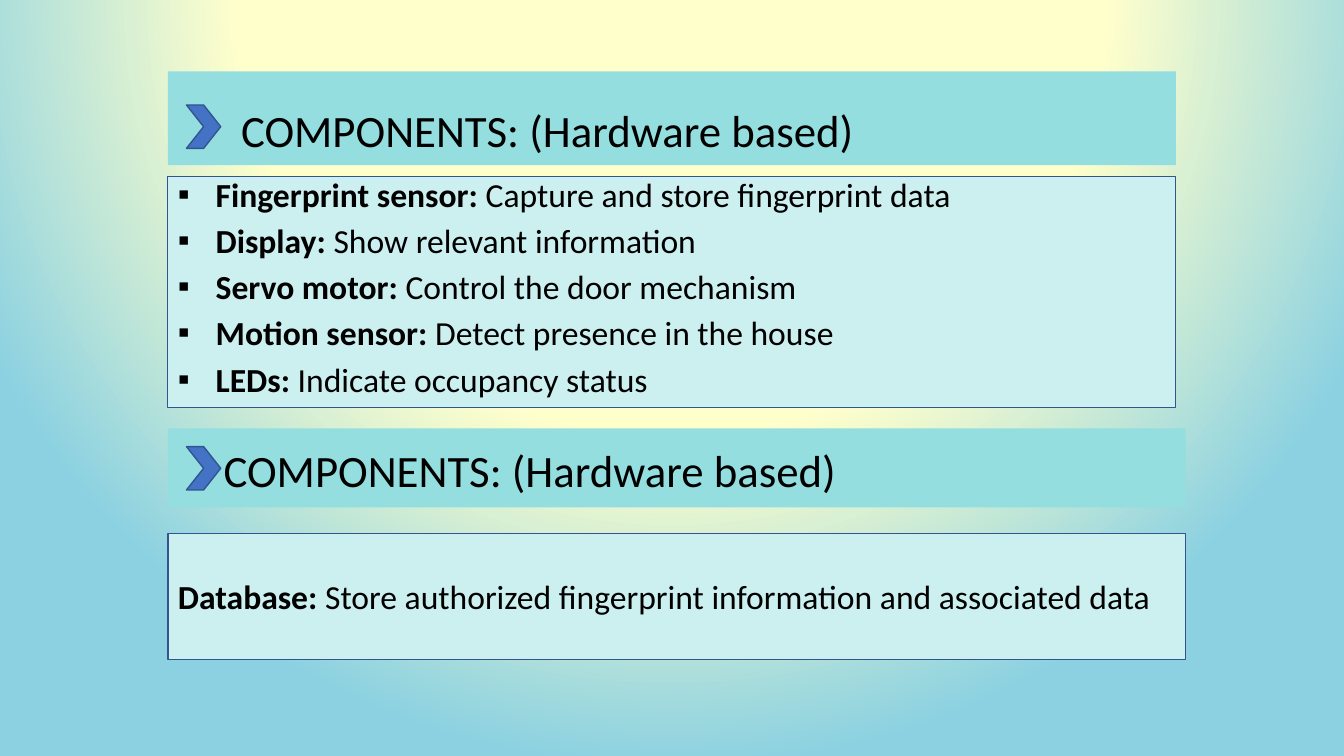
from pptx import Presentation
from pptx.dml.color import RGBColor
from pptx.enum.shapes import MSO_SHAPE as Preset
from pptx.enum.text import MSO_ANCHOR as Anchor, PP_ALIGN as Align
from pptx.oxml import parse_xml
from pptx.oxml.ns import nsdecls, qn
from pptx.util import Pt

COLORS = {
    "cream": "FFFFCC",
    "sky": "8BD1E1",
    "heading": "94DEE0",
    "panel": "CCEFF0",
    "outline": "325491",
    "chevron": "4472C4",
    "text": "000000",
}
LEFT = 120
HARDWARE = [
    ("Fingerprint sensor:", " Capture and store fingerprint data"),
    ("Display:", " Show relevant information"),
    ("Servo motor:", " Control the door mechanism"),
    ("Motion sensor:", " Detect presence in the house"),
    ("LEDs:", " Indicate occupancy status"),
]
DATABASE = [("Database:", " Store authorized fingerprint information and associated data")]


class SlideBuilder:
    """Hold the style and the current slide, and add each kind of element."""

    font = "Calibri"
    heading_size = 32
    body_size = 24
    bullet_indent = 27

    def __init__(self, slide):
        self.slide = slide

    def color(self, name):
        return RGBColor.from_string(COLORS[name])

    def background(self):
        self.slide.background.fill.solid()
        properties = self.slide.element.find(".//" + qn("p:bgPr"))
        stops = "".join(
            f'<a:gs pos="{position}"><a:srgbClr val="{COLORS[name]}"/></a:gs>'
            for position, name in ((0, "cream"), (56000, "cream"), (100000, "sky"))
        )
        gradient = parse_xml(
            f'<a:gradFill {nsdecls("a")} rotWithShape="1"><a:gsLst>{stops}</a:gsLst>'
            '<a:path path="circle"><a:fillToRect l="50000" t="-80000" r="50000" b="180000"/>'
            "</a:path></a:gradFill>"
        )
        properties.replace(properties[0], gradient)

    def shape(self, preset, box, fill, line_width=0):
        shape = self.slide.shapes.add_shape(preset, *map(Pt, box))
        shape.shadow.inherit = False
        shape.fill.solid()
        shape.fill.fore_color.rgb = self.color(fill)
        if line_width:
            shape.line.color.rgb = self.color("outline")
            shape.line.width = Pt(line_width)
        else:
            shape.line.fill.background()
        return shape

    def format_frame(self, shape, **values):
        frame = shape.text_frame
        for name, value in {"word_wrap": True, **values}.items():
            setattr(frame, name, value)
        return frame

    def text(self, paragraph, words, size, bold=False):
        run = paragraph.add_run()
        run.text = words
        values = {"name": self.font, "size": Pt(size), "bold": bold}
        for name, value in values.items():
            setattr(run.font, name, value)
        run.font.color.rgb = self.color("text")

    def heading(self, words, box, indent, spacing=1, **frame_format):
        shape = self.shape(Preset.RECTANGLE, box, "heading")
        frame = self.format_frame(shape, margin_left=Pt(7.2 + indent), **frame_format)
        paragraph = frame.paragraphs[0]
        paragraph.alignment = Align.LEFT
        paragraph.line_spacing = spacing
        self.text(paragraph, words, self.heading_size)

    def panel(self, items, box, anchor, line_width, bulleted=False):
        shape = self.shape(Preset.RECTANGLE, box, "panel", line_width)
        frame = self.format_frame(shape, vertical_anchor=anchor)
        for index, (label, detail) in enumerate(items):
            paragraph = frame.add_paragraph() if index else frame.paragraphs[0]
            paragraph.alignment = Align.LEFT
            if bulleted:
                self.bullet(paragraph)
            self.text(paragraph, label, self.body_size, bold=True)
            self.text(paragraph, detail, self.body_size)

    def bullet(self, paragraph):
        paragraph.line_spacing = 0.8
        paragraph.space_before = Pt(10)
        properties = paragraph._p.get_or_add_pPr()
        properties.set("marL", str(Pt(self.bullet_indent)))
        properties.set("indent", str(-Pt(self.bullet_indent)))
        for tag in ('buFont typeface="Arial"', 'buChar char="▪"'):
            properties.append(parse_xml(f'<a:{tag} {nsdecls("a")}/>'))

    def chevron(self, top):
        self.shape(Preset.CHEVRON, (133.2, top, 24.5, 31), "chevron", 1)


def main():
    presentation = Presentation()
    presentation.slide_width, presentation.slide_height = Pt(960), Pt(540)
    builder = SlideBuilder(presentation.slides.add_slide(presentation.slide_layouts[6]))
    title = "COMPONENTS: (Hardware based)"

    builder.background()
    builder.heading(title, (LEFT, 51, 720, 67), 45, 0.9,
                    vertical_anchor=Anchor.BOTTOM, margin_bottom=Pt(5.6))
    builder.panel(HARDWARE, (LEFT, 126, 720, 165), Anchor.TOP, 0.75, bulleted=True)
    builder.heading(title, (LEFT, 306, 727, 56.5), 32.5,
                    vertical_anchor=Anchor.MIDDLE, margin_top=Pt(6.4))
    builder.panel(DATABASE, (LEFT, 381, 727, 90), Anchor.MIDDLE, 1)
    for top in (75, 319):
        builder.chevron(top)

    presentation.save("out.pptx")


if __name__ == "__main__":
    main()
